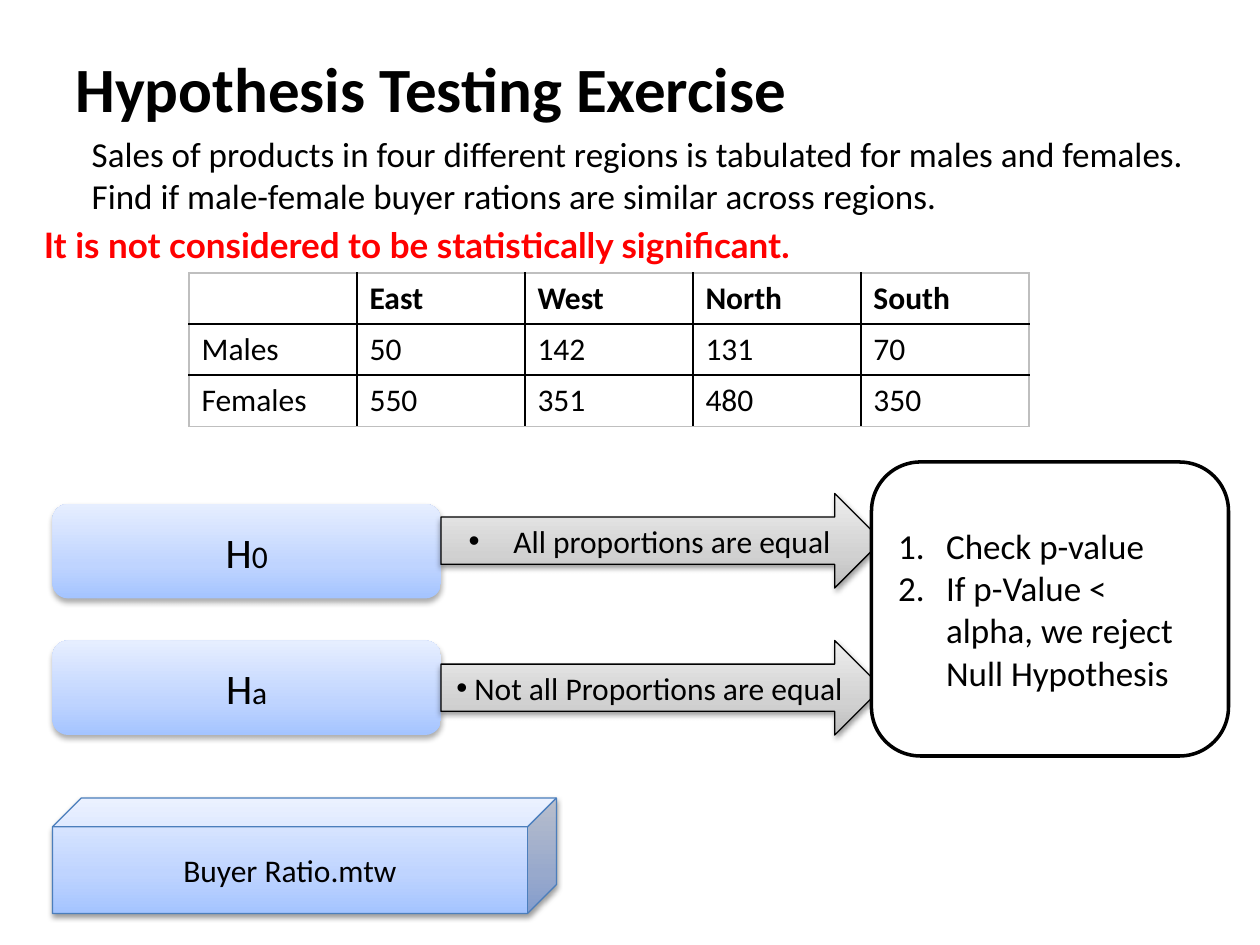
from pptx import Presentation
from pptx.dml.color import RGBColor
from pptx.enum.shapes import MSO_SHAPE
from pptx.enum.text import MSO_ANCHOR, PP_ALIGN
from pptx.oxml.ns import qn
from pptx.oxml.xmlchemy import OxmlElement
from pptx.util import Inches, Pt

COLORS = {"black": "000000", "white": "FFFFFF", "red": "FF0000",
          "edge": "BFBFBF", "blue": "4B7EBC"}
BLUES = [(0, "A4C4FF"), (35, "BFD4FF"), (100, "E6EEFF")]
GRAYS = [(0, "BDBDBD"), (35, "D1D1D1"), (100, "EEEEEE")]
SALES = [["", "East", "West", "North", "South"],
         ["Males", "50", "142", "131", "70"],
         ["Females", "550", "351", "480", "350"]]


def grid(*units):
    return [Inches(u / 12) for u in units]


def rgb(name):
    return RGBColor.from_string(COLORS[name])


def add_node(parent, tag, **attrs):
    node = OxmlElement(tag)
    for key, value in attrs.items():
        node.set(key, str(value))
    parent.append(node)
    return node


def add_color(parent, value, alpha=None):
    clr = add_node(parent, "a:srgbClr", val=value)
    if alpha:
        add_node(clr, "a:alpha", val=alpha * 1000)


def style(p, size, bold=False, color="black", font="Calibri"):
    for r in p.runs:
        r.font.size, r.font.bold, r.font.name = Pt(size), bold, font
        r.font.color.rgb = rgb(color)


def indent(p, left, first=0):
    p._p.get_or_add_pPr().set("marL", str(Inches(left)))
    p._p.get_or_add_pPr().set("indent", str(Inches(first)))


def add_text(s, box, lines, anchor=MSO_ANCHOR.TOP):
    tf = s.shapes.add_textbox(*grid(*box)).text_frame
    tf.word_wrap, tf.vertical_anchor = True, anchor
    tf.text = "\n".join(lines)
    return tf.paragraphs


def add_box(s, kind, box, text, size=18, line=None, width=0.75):
    sp = s.shapes.add_shape(kind, *grid(*box))
    sp.shadow.inherit = False
    if line:
        sp.line.color.rgb, sp.line.width = rgb(line), Pt(width)
    else:
        sp.line.fill.background()
    tf = sp.text_frame
    tf.word_wrap, tf.vertical_anchor = True, MSO_ANCHOR.MIDDLE
    tf.text = text
    for p in tf.paragraphs:
        p.alignment = PP_ALIGN.CENTER
        style(p, size)
    return sp


def shade(sp, stops, alpha=38, blur=3.1, dist=1.6):
    sp.fill.gradient()
    sp.fill.gradient_angle = 90
    spPr = sp._element.spPr
    gs_list = spPr.find(qn("a:gradFill")).find(qn("a:gsLst"))
    for gs in list(gs_list):
        gs_list.remove(gs)
    for pos, value in stops:
        add_color(add_node(gs_list, "a:gs", pos=pos * 1000), value)
    shadow = add_node(spPr.find(qn("a:effectLst")), "a:outerShdw", blurRad=Pt(blur),
                      dist=Pt(dist), dir=90 * 60000, rotWithShape=0)
    add_color(shadow, COLORS["black"], alpha)


def add_hypothesis(s, row, mark):
    sp = add_box(s, MSO_SHAPE.ROUNDED_RECTANGLE, (5, row, 37, 9), "H", 24)
    shade(sp, BLUES, 32, 3.5, 2.2)
    p = sp.text_frame.paragraphs[0]
    p.add_run().text = mark
    style(p, 18)
    p.runs[0].font.size = Pt(24)


def add_arrow(s, row, text, left):
    sp = add_box(s, MSO_SHAPE.RIGHT_ARROW, (42, row, 42, 9), text, line="black")
    shade(sp, GRAYS)
    p = sp.text_frame.paragraphs[0]
    indent(p, left, -left)
    pPr = p._p.get_or_add_pPr()
    add_node(pPr, "a:buFont", typeface="Arial")
    add_node(pPr, "a:buChar", char="•")


def add_steps(s, box, steps):
    sp = add_box(s, MSO_SHAPE.ROUNDED_RECTANGLE, box, "\n".join(steps), 20, "black", 2)
    sp.fill.solid()
    sp.fill.fore_color.rgb = rgb("white")
    for p in sp.text_frame.paragraphs:
        p.alignment = PP_ALIGN.LEFT
        indent(p, 0.38, -0.38)
        pPr = p._p.get_or_add_pPr()
        add_node(pPr, "a:buFont", typeface="+mj-lt")
        add_node(pPr, "a:buAutoNum", type="arabicPeriod")


def border(cell, outer):
    tcPr = cell._tc.get_or_add_tcPr()
    for at, side in enumerate(("L", "R", "T", "B")):
        ln = OxmlElement(f"a:ln{side}")
        ln.set("w", str(Pt(1)))
        color = COLORS["edge" if outer[side] else "black"]
        add_color(add_node(ln, "a:solidFill"), color)
        tcPr.insert(at, ln)


def add_sales(s, box, data):
    rows, cols = len(data), len(data[0])
    table = s.shapes.add_table(rows, cols, *grid(*box)).table
    for i, values in enumerate(data):
        for j, value in enumerate(values):
            cell = table.cell(i, j)
            cell.text = value
            cell.fill.background()
            style(cell.text_frame.paragraphs[0], 18, i == 0)
            border(cell, {"L": j == 0, "R": j == cols - 1,
                          "T": i == 0, "B": i == rows - 1})


def main():
    prs = Presentation()
    prs.slide_width, prs.slide_height = Inches(10), Inches(7.5)
    s = prs.slides.add_slide(prs.slide_layouts[6])
    title, = add_text(s, (6, 3.6, 108, 9.4), ["Hypothesis Testing Exercise"],
                      MSO_ANCHOR.MIDDLE)
    style(title, 36, True)
    task, result = add_text(s, (3, 12, 115, 75), [
        "Sales of products in four different regions is tabulated for males and females. "
        "Find if male-female buyer rations are similar across regions.",
        "It is not considered to be statistically significant."])
    indent(task, 0.38)
    style(task, 20)
    style(result, 20, True, "red", "Lato")
    for p in (task, result):
        p.space_before = Pt(4)
    add_sales(s, (18, 26, 80, 14.6), SALES)
    add_hypothesis(s, 48, "0")
    add_hypothesis(s, 61, "a")
    add_arrow(s, 47, " All proportions are equal", 0.3)
    add_arrow(s, 61, " Not all Proportions are equal", 0)
    add_steps(s, (83, 44, 34, 28),
              ["Check p-value", "If p-Value < alpha, we reject Null Hypothesis"])
    shade(add_box(s, MSO_SHAPE.CUBE, (5, 76, 48, 11), "Buyer Ratio.mtw", line="blue"), BLUES)
    prs.save("out.pptx")


if __name__ == "__main__":
    main()
